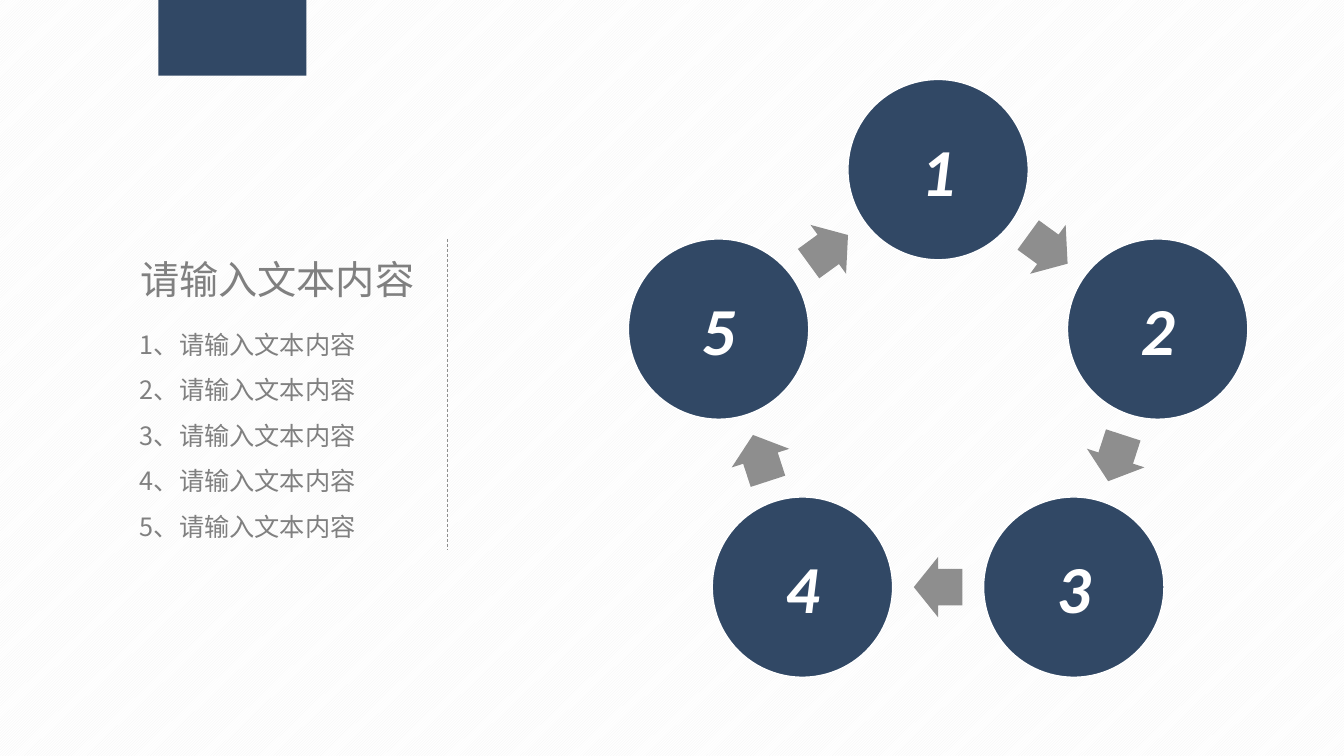
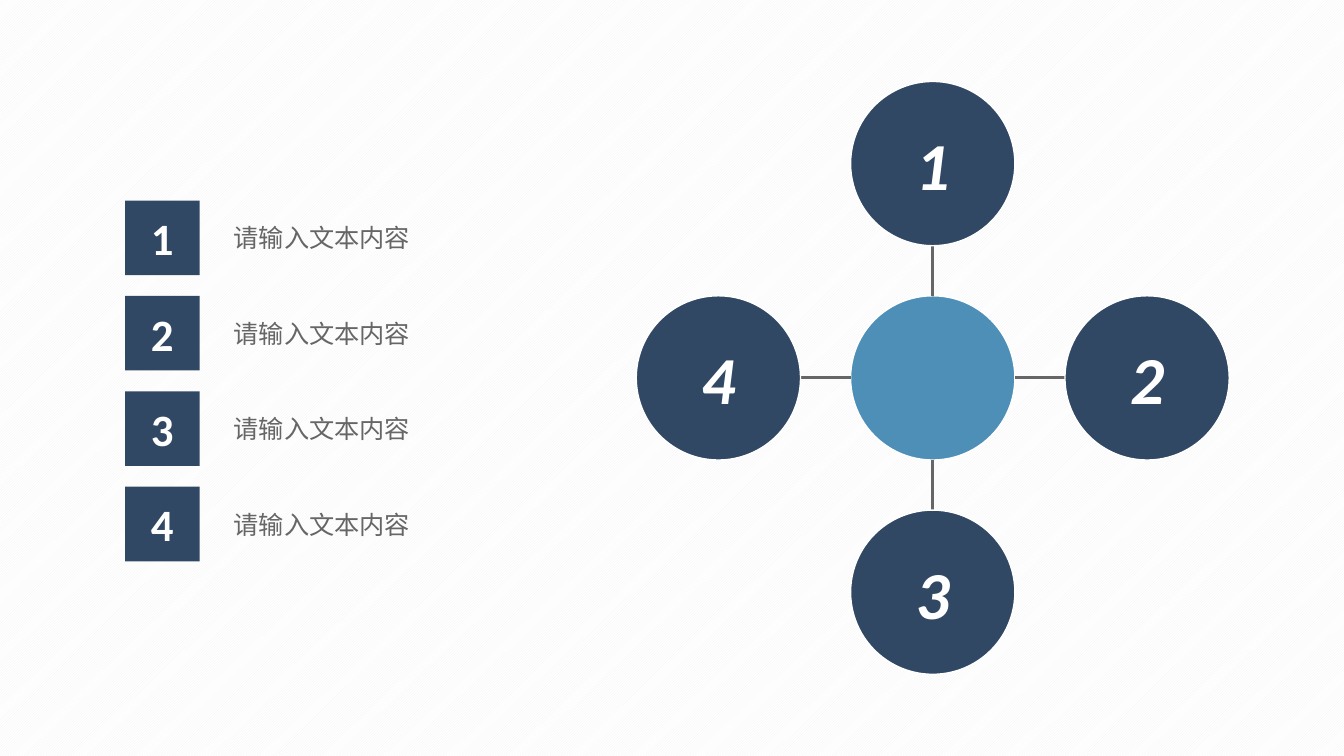
"""Build two slides: a five-step cycle and a hub with four satellites."""
from math import cos, radians, sin

from lxml.etree import SubElement
from pptx import Presentation
from pptx.dml.color import RGBColor
from pptx.enum.dml import MSO_LINE, MSO_PATTERN
from pptx.enum.shapes import MSO_CONNECTOR, MSO_SHAPE
from pptx.enum.text import MSO_ANCHOR, MSO_AUTO_SIZE, PP_ALIGN
from pptx.oxml.ns import qn
from pptx.util import Inches, Pt

NAVY = RGBColor(0x31, 0x48, 0x65)
BLUE = RGBColor(0x4D, 0x8F, 0xB7)
WHITE = RGBColor(0xFF, 0xFF, 0xFF)
STRIPE = RGBColor(0xF2, 0xF2, 0xF2)
ARROW_GRAY = RGBColor(0x8E, 0x8E, 0x8E)
TEXT_GRAY = RGBColor(0x80, 0x80, 0x80)
DARK_GRAY = RGBColor(0x66, 0x66, 0x66)

NUMBER_FONT = "Calibri"
TEXT_FONT = "Noto Sans CJK SC"
PROMPT = "请输入文本内容"

WIDTH, HEIGHT = Inches(13.33), Inches(7.5)
COLUMNS = 40
CELL = WIDTH / COLUMNS
TITLE_ONLY, BLANK = 5, 6


def cells(*counts):
    """Convert counts of grid cells to slide lengths."""
    return [round(count * CELL) for count in counts]


def polar(centre, radius, angle):
    """Return the point at a clockwise angle from the top of a circle."""
    x, y = centre
    return x + radius * sin(radians(angle)), y - radius * cos(radians(angle))


def centred(point, width, height):
    """Return the box of a given size around a point."""
    return point[0] - width / 2, point[1] - height / 2, width, height


def style_paragraph(paragraph, size, color, font=TEXT_FONT, bold=False, italic=False,
                    align=PP_ALIGN.LEFT, spacing=None):
    """Format a whole paragraph, including its East Asian typeface."""
    paragraph.alignment = align
    paragraph.line_spacing = spacing
    paragraph.font.size = Pt(size)
    paragraph.font.bold = bold
    paragraph.font.italic = italic
    paragraph.font.color.rgb = color
    paragraph.font.name = font
    properties = paragraph._p.get_or_add_pPr().get_or_add_defRPr()
    SubElement(properties, qn("a:ea")).set("typeface", font)


def fill_text(shape, lines, wrap=True, **style):
    """Put styled lines into a box that fits its text."""
    frame = shape.text_frame
    frame.text = "\n".join(lines)
    frame.word_wrap = wrap
    frame.auto_size = MSO_AUTO_SIZE.SHAPE_TO_FIT_TEXT
    frame.vertical_anchor = MSO_ANCHOR.TOP
    for paragraph in frame.paragraphs:
        style_paragraph(paragraph, **style)


def add_text(slide, box, lines, **style):
    """Add a text box with styled lines."""
    fill_text(slide.shapes.add_textbox(*cells(*box)), lines, **style)


def add_block(slide, kind, box, color, outline=None):
    """Add a flat preset shape."""
    shape = slide.shapes.add_shape(kind, *cells(*box))
    shape.shadow.inherit = False
    shape.fill.solid()
    shape.fill.fore_color.rgb = color
    if outline is None:
        shape.line.fill.background()
    else:
        shape.line.color.rgb = outline
        shape.line.width = Pt(1)
    return shape


def add_circle(slide, centre, diameter, color):
    """Add a circle with a white outline."""
    box = centred(centre, diameter, diameter)
    return add_block(slide, MSO_SHAPE.OVAL, box, color, WHITE)


def put_number(shape, number, size, italic=False):
    """Write a bold white number in the middle of a shape."""
    frame = shape.text_frame
    frame.margin_left = frame.margin_right = frame.margin_top = frame.margin_bottom = 0
    frame.vertical_anchor = MSO_ANCHOR.MIDDLE
    frame.text = str(number)
    style_paragraph(frame.paragraphs[0], size, WHITE, NUMBER_FONT, True, italic, PP_ALIGN.CENTER)


def add_line(slide, start, end, color, width, dash=None):
    """Add a straight line without a shadow."""
    line = slide.shapes.add_connector(MSO_CONNECTOR.STRAIGHT, *cells(*start, *end))
    line.line.color.rgb = color
    line.line.width = Pt(width)
    line.line.dash_style = dash
    SubElement(line._element.spPr, qn("a:effectLst"))


def add_cycle(slide, centre, radius, diameter, count):
    """Add a ring of numbered circles with arrows between them."""
    step = 360 / count
    for index in range(count):
        angle = index * step
        circle = add_circle(slide, polar(centre, radius, angle), diameter, NAVY)
        put_number(circle, index + 1, 48, italic=True)
        turn = angle + step / 2
        middle = polar(centre, radius * cos(radians(step / 2)), turn)
        arrow = add_block(slide, MSO_SHAPE.RIGHT_ARROW, centred(middle, 1.45, 1.8), ARROW_GRAY)
        arrow.adjustments[0], arrow.adjustments[1] = 0.6, 0.5
        arrow.rotation = turn


def add_hub(slide, centre, reach, diameter, count):
    """Add a central circle joined to numbered satellites."""
    add_circle(slide, centre, diameter, BLUE)
    for index in range(count):
        angle = index * 360 / count
        start = polar(centre, diameter / 2, angle)
        end = polar(centre, reach - diameter / 2, angle)
        add_line(slide, start, end, DARK_GRAY, 2.25)
        satellite = add_circle(slide, polar(centre, reach, angle), diameter, NAVY)
        put_number(satellite, index + 1, 48, italic=True)


def add_numbered_rows(slide, left, top, side, pitch, count):
    """Add numbered squares, each with a label on its right."""
    for index in range(count):
        y = top + index * pitch
        square = add_block(slide, MSO_SHAPE.RECTANGLE, (left, y, side, side), NAVY)
        put_number(square, index + 1, 32)
        label_height = 1.2
        label = (left + side + 0.72, y + (side - label_height) / 2, 8.28, label_height)
        add_text(slide, label, [PROMPT], size=18, color=DARK_GRAY)


def set_title(slide, box, text):
    """Move and format the title placeholder."""
    title = slide.shapes.title
    title.left, title.top, title.width, title.height = cells(*box)
    fill_text(title, [text], wrap=False, size=28, color=TEXT_GRAY, spacing=3)


def set_background(presentation):
    """Give the slide master a pale diagonal pattern."""
    fill = presentation.slide_master.background.fill
    fill.patterned()
    fill.pattern = MSO_PATTERN.DARK_UPWARD_DIAGONAL
    fill.fore_color.rgb = STRIPE
    fill.back_color.rgb = WHITE


def build_cycle_slide(presentation):
    """Build the slide with the list and the five-step cycle."""
    slide = presentation.slides.add_slide(presentation.slide_layouts[TITLE_ONLY])
    left = 3.87
    set_title(slide, (left, 4.65, 8.85, 3.75), PROMPT)
    add_cycle(slide, (27.92, 11.92), 6.87, 5.37, 5)
    lines = [f"{number}、{PROMPT}" for number in range(1, 6)]
    add_text(slide, (left, 9.21, 10.14, 7.11), lines, size=18, color=TEXT_GRAY, spacing=1.5)
    add_line(slide, (13.32, 7.11), (13.32, 16.35), ARROW_GRAY, 0.5, MSO_LINE.DASH)
    add_block(slide, MSO_SHAPE.RECTANGLE, (4.71, 0, 4.41, 2.25), NAVY)


def build_hub_slide(presentation):
    """Build the slide with the numbered rows and the hub."""
    slide = presentation.slides.add_slide(presentation.slide_layouts[BLANK])
    add_hub(slide, (27.76, 11.25), 6.38, 4.89, 4)
    add_numbered_rows(slide, 3.72, 5.97, 2.22, 2.84, 4)


def main():
    """Build and save the presentation."""
    presentation = Presentation()
    presentation.slide_width, presentation.slide_height = WIDTH, HEIGHT
    set_background(presentation)
    build_cycle_slide(presentation)
    build_hub_slide(presentation)
    presentation.save("out.pptx")


if __name__ == "__main__":
    main()
